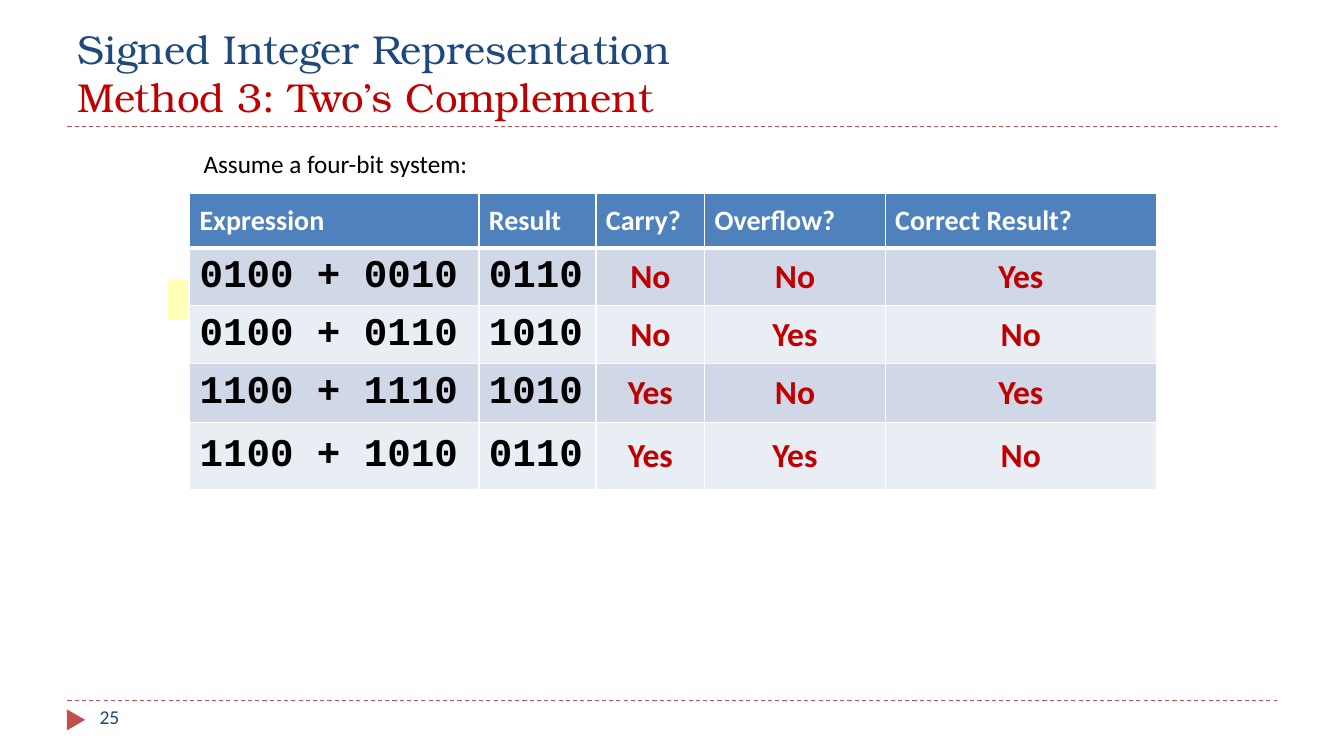
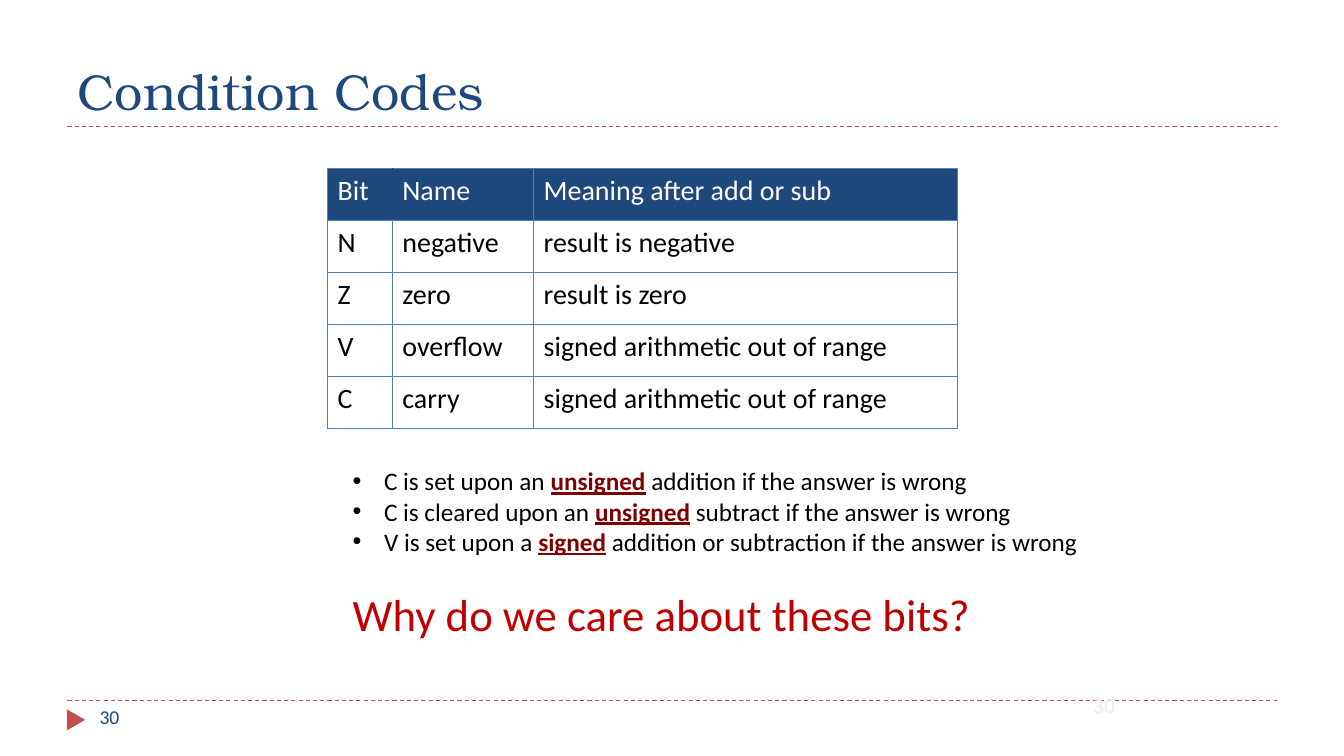
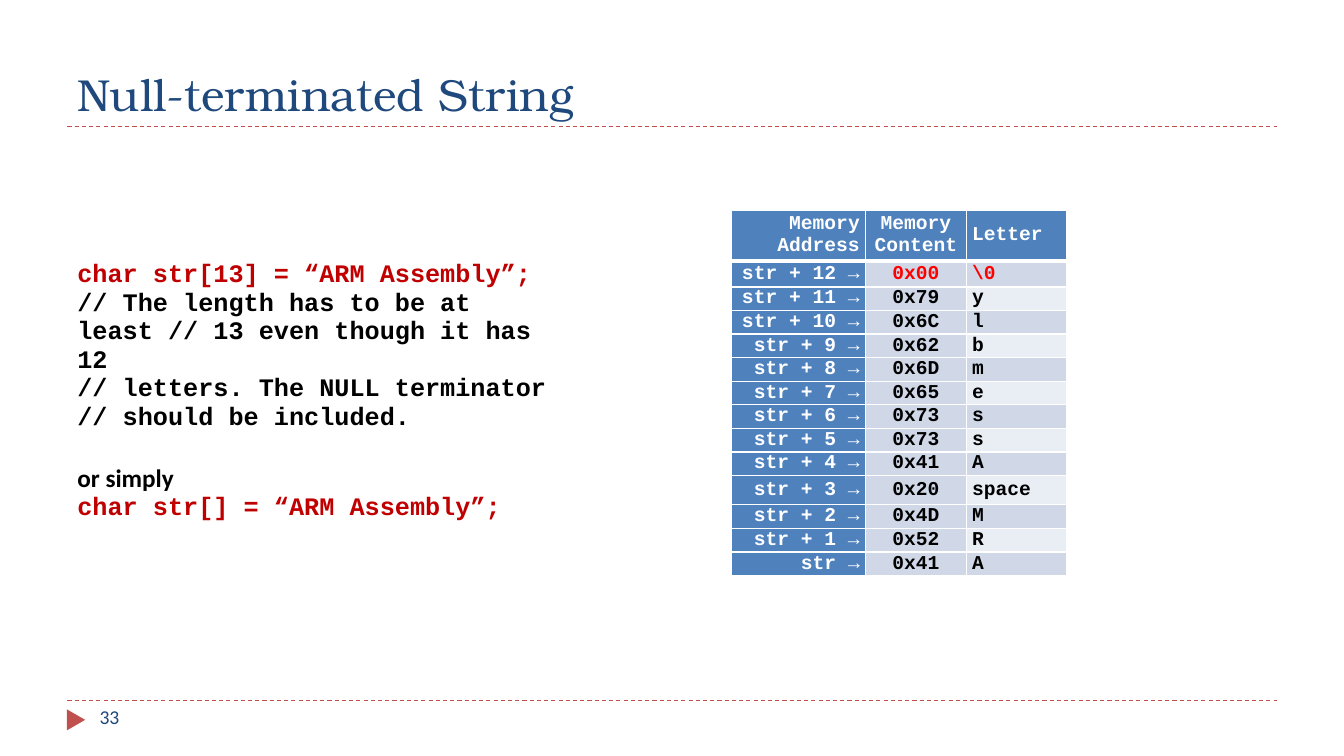
from dataclasses import dataclass, field

from lxml.etree import SubElement
from pptx import Presentation
from pptx.dml.color import RGBColor
from pptx.enum.dml import MSO_LINE
from pptx.enum.shapes import MSO_CONNECTOR, MSO_SHAPE
from pptx.enum.text import MSO_ANCHOR, MSO_AUTO_SIZE, PP_ALIGN
from pptx.oxml.ns import qn
from pptx.util import Cm, Pt


@dataclass(frozen=True)
class Theme:
    navy: str = "1F497D"
    blue: str = "4F81BD"
    brick: str = "C0504D"
    red: str = "C00000"
    bright_red: str = "FF0000"
    maroon: str = "800000"
    yellow: str = "FFFFB7"
    cream: str = "EEECE1"
    band_dark: str = "D0D8E8"
    band_light: str = "E9EDF4"
    white: str = "FFFFFF"
    black: str = "000000"
    title_font: str = "TeX Gyre Bonum"
    body_font: str = "Calibri"
    code_font: str = "Courier New"
    number_font: str = "Arial"
    small: float = 14
    body: float = 18
    table: float = 20
    answer: float = 24
    bits: float = 28
    question: float = 32


THEME = Theme()


@dataclass
class CellStyle:
    fill: str | None = None
    anchor: MSO_ANCHOR = MSO_ANCHOR.MIDDLE
    align: PP_ALIGN = PP_ALIGN.LEFT
    margins: tuple = (0.25, 0.13)
    border: str = THEME.white
    edges: dict = field(default_factory=dict)
    font: dict = field(default_factory=dict)


def write(para, text, *, size=THEME.body, color=THEME.black, font=THEME.body_font,
          bold=False, underline=False):
    span = para.add_run()
    span.text = text
    span.font.size = Pt(size)
    span.font.name = font
    span.font.bold = bold
    span.font.underline = underline
    span.font.color.rgb = RGBColor.from_string(color)


def add_bullet(para, indent=0.79):
    properties = para._p.get_or_add_pPr()
    properties.set("marL", str(Cm(indent)))
    properties.set("indent", str(-Cm(indent)))
    SubElement(properties, qn("a:buFont"), typeface="Arial")
    SubElement(properties, qn("a:buChar"), char="•")


def draw_borders(cell, style):
    """Line every side in the border colour, except where style.edges says otherwise."""
    properties = cell._tc.get_or_add_tcPr()
    for side in "LRTB":
        color, width = style.edges.get(side, (style.border, 1))
        line = SubElement(properties, qn(f"a:ln{side}"), w=str(Pt(width)))
        solid = SubElement(line, qn("a:solidFill"))
        SubElement(solid, qn("a:srgbClr"), val=color)


class Lecture:
    def __init__(self, theme):
        self.theme = theme
        self.deck = Presentation()
        self.deck.slide_width = Cm(33.87)
        self.deck.slide_height = Cm(19.05)
        self.page = None

    def start_page(self, number, title_lines, size):
        """Add a page with its title, dashed rules, marker and number."""
        self.page = self.deck.slides.add_slide(self.deck.slide_layouts[5])
        for y in (3.18, 17.65):
            self.rule(y)
        marker = self.shape(MSO_SHAPE.ISOSCELES_TRIANGLE, 1.65, 17.91, 0.53, 0.46,
                            self.theme.brick)
        marker.rotation = 90
        self.title(title_lines, size)
        frame = self.text_box(2.26, 17.65, 7.34, 1.02)
        write(frame.paragraphs[0], str(number), size=self.theme.small,
              color=self.theme.navy)

    def title(self, lines, size):
        box = self.page.shapes.title
        box.left, box.top, box.width, box.height = map(Cm, (1.7, 0.43, 30.48, 2.74))
        frame = box.text_frame
        frame.auto_size = MSO_AUTO_SIZE.NONE
        frame.vertical_anchor = MSO_ANCHOR.BOTTOM
        para = frame.paragraphs[0]
        para.alignment = PP_ALIGN.LEFT
        for index, (line, color) in enumerate(lines):
            if index:
                para.add_line_break()
            write(para, line, size=size, color=color, font=self.theme.title_font)

    def rule(self, y):
        line = self.page.shapes.add_connector(
            MSO_CONNECTOR.STRAIGHT, Cm(1.7), Cm(y), Cm(32.18), Cm(y))
        line.line.color.rgb = RGBColor.from_string(self.theme.brick)
        line.line.width = Pt(0.75)
        line.line.dash_style = MSO_LINE.DASH
        SubElement(line._element.spPr, qn("a:effectLst"))

    def shape(self, kind, left, top, width, height, color):
        shape = self.page.shapes.add_shape(kind, *map(Cm, (left, top, width, height)))
        shape.shadow.inherit = False
        shape.fill.solid()
        shape.fill.fore_color.rgb = RGBColor.from_string(color)
        shape.line.fill.background()
        return shape

    def text_box(self, left, top, width, height, wrap=True):
        box = self.page.shapes.add_textbox(*map(Cm, (left, top, width, height)))
        box.text_frame.word_wrap = wrap
        return box.text_frame

    def table(self, left, top, widths, heights, rows, style_of):
        """Fill a table from rows of text; style_of(row, column) gives a CellStyle."""
        table = self.page.shapes.add_table(
            len(heights), len(widths), Cm(left), Cm(top),
            Cm(sum(widths)), Cm(sum(heights))).table
        table.first_row = table.horz_banding = False
        for column, width in zip(table.columns, widths):
            column.width = Cm(width)
        for row, height in zip(table.rows, heights):
            row.height = Cm(height)
        for row, texts in enumerate(rows):
            for column, text in enumerate(texts):
                cell = table.cell(row, column)
                style = style_of(row, column)
                self.format_cell(cell, style)
                if text:
                    write(cell.text_frame.paragraphs[0], text, **style.font)
        return table

    def format_cell(self, cell, style):
        draw_borders(cell, style)
        if style.fill:
            cell.fill.solid()
            cell.fill.fore_color.rgb = RGBColor.from_string(style.fill)
        else:
            cell.fill.background()
        cell.vertical_anchor = style.anchor
        side, end = map(Cm, style.margins)
        cell.margin_left = cell.margin_right = side
        cell.margin_top = cell.margin_bottom = end
        cell.text_frame.paragraphs[0].alignment = style.align

    def banded_edges(self, row):
        """Thick white line between the heading row and the first data row."""
        return {0: {"B": (self.theme.white, 3)}, 1: {"T": (self.theme.white, 3)}}.get(row, {})

    def band(self, row):
        return self.theme.band_dark if row % 2 else self.theme.band_light


def complement_page(lecture):
    theme = lecture.theme
    lecture.start_page(25, [("Signed Integer Representation", theme.navy),
                            ("Method 3: Two’s Complement", theme.red)], 28.8)
    lecture.shape(MSO_SHAPE.RECTANGLE, 4.24, 7.04, 0.51, 1.02, theme.yellow)

    def sum_style(row, column):
        style = CellStyle(fill=lecture.band(row), edges=lecture.banded_edges(row))
        if row == 0:
            style.fill = theme.blue
            style.font = dict(size=theme.table, color=theme.white, bold=True)
        elif column < 2:
            style.font = dict(size=theme.bits, font=theme.code_font, bold=True)
        else:
            style.align = PP_ALIGN.CENTER
            style.font = dict(size=theme.answer, color=theme.red, bold=True)
        return style

    lecture.table(4.78, 4.88, [7.29, 2.95, 2.74, 4.55, 6.83],
                  [1.37, 1.4, 1.47, 1.47, 1.7], [
        ["Expression", "Result", "Carry?", "Overflow?", "Correct Result?"],
        ["0100 + 0010", "0110", "No", "No", "Yes"],
        ["0100 + 0110", "1010", "No", "Yes", "No"],
        ["1100 + 1110", "1010", "Yes", "No", "Yes"],
        ["1100 + 1010", "0110", "Yes", "Yes", "No"],
    ], sum_style)
    frame = lecture.text_box(4.88, 3.61, 7.21, 1.02, wrap=False)
    write(frame.paragraphs[0], "Assume a four-bit system:")


def condition_page(lecture):
    theme = lecture.theme
    lecture.start_page(30, [("Condition Codes", theme.navy)], 36)
    number = lecture.text_box(22.43, 17.35, 5.92, 1.31).paragraphs[0]
    number.alignment = PP_ALIGN.RIGHT
    write(number, "30", size=theme.small, color=theme.cream, font=theme.number_font)

    frame = lecture.text_box(8.64, 11.61, 19.48, 4.74)
    notes = [("C is set upon an ", "unsigned", " addition if the answer is wrong"),
             ("C is cleared upon an ", "unsigned", " subtract if the answer is wrong"),
             ("V is set upon a ", "signed",
              " addition or subtraction if the answer is wrong")]
    for index, (before, key, after) in enumerate(notes):
        para = frame.add_paragraph() if index else frame.paragraphs[0]
        add_bullet(para)
        write(para, before)
        write(para, key, color=theme.maroon, bold=True, underline=True)
        write(para, after)
    question = frame.add_paragraph()
    question.space_before = Pt(22)
    write(question, "Why do we care about these bits?", size=theme.question,
          color=theme.red)

    def code_style(row, column):
        style = CellStyle(anchor=MSO_ANCHOR.TOP, align=PP_ALIGN.JUSTIFY,
                          border=theme.blue, font=dict(size=theme.table))
        if row == 0:
            style.fill = theme.navy
            style.font["color"] = theme.white
            if column < 2:
                style.edges = {"RL"[column]: (theme.navy, 0.25)}
        return style

    lecture.table(8.26, 4.24, [1.63, 3.56, 10.69], [1.31] * 5, [
        ["Bit", "Name", "Meaning after add or sub"],
        ["N", "negative", "result is negative"],
        ["Z", "zero", "result is zero"],
        ["V", "overflow", "signed arithmetic out of range"],
        ["C", "carry", "signed arithmetic out of range"],
    ], code_style)


def string_page(lecture):
    theme = lecture.theme
    lecture.start_page(33, [("Null-terminated String", theme.navy)], 32)
    margins = (0.15, 0)
    aligns = [PP_ALIGN.RIGHT, PP_ALIGN.CENTER, PP_ALIGN.JUSTIFY]

    def memory_style(row, column):
        style = CellStyle(align=aligns[column], margins=margins,
                          edges=lecture.banded_edges(row))
        if row == 0 or column == 0:
            style.fill, color = theme.blue, theme.white
        else:
            style.fill = theme.band_dark if column == 1 else lecture.band(row)
            color = theme.bright_red if row == 1 else theme.black
        style.font = dict(size=theme.small, font=theme.code_font, color=color, bold=True)
        return style

    shown = {"\0": "\\0", " ": "space"}
    memory = [[f"str + {offset} →" if offset else "str →", f"0x{ord(letter):02X}",
               shown.get(letter, letter)]
              for offset, letter in enumerate("ARM Assembly\0")]
    lecture.table(18.42, 5.3, [3.4, 2.53, 2.53],
                  [1.27, 0.66] + [0.56] * 8 + [0.74] + [0.56] * 3,
                  [["Memory Address", "Memory Content", "Letter"]] + memory[::-1],
                  memory_style)

    code_table = lecture.table(1.8, 6.45, [12.27], [6.58], [[""]],
                               lambda row, column: CellStyle(fill=theme.white,
                                                             margins=margins))
    frame = code_table.cell(0, 0).text_frame
    lines = [("char str[13] = “ARM Assembly”;", theme.red, theme.code_font),
             ("// The length has to be at least // 13 even though it has 12",
              theme.black, theme.code_font),
             ("// letters. The NULL terminator", theme.black, theme.code_font),
             ("// should be included.", theme.black, theme.code_font),
             ("or simply", theme.black, theme.body_font),
             ("char str[] = “ARM Assembly”;", theme.red, theme.code_font)]
    for index, (text, color, font) in enumerate(lines):
        para = frame.add_paragraph() if index else frame.paragraphs[0]
        if font == theme.body_font:
            para.space_before = Pt(22)
        write(para, text, color=color, font=font, bold=True)


def main():
    lecture = Lecture(THEME)
    complement_page(lecture)
    condition_page(lecture)
    string_page(lecture)
    lecture.deck.save("out.pptx")


if __name__ == "__main__":
    main()
